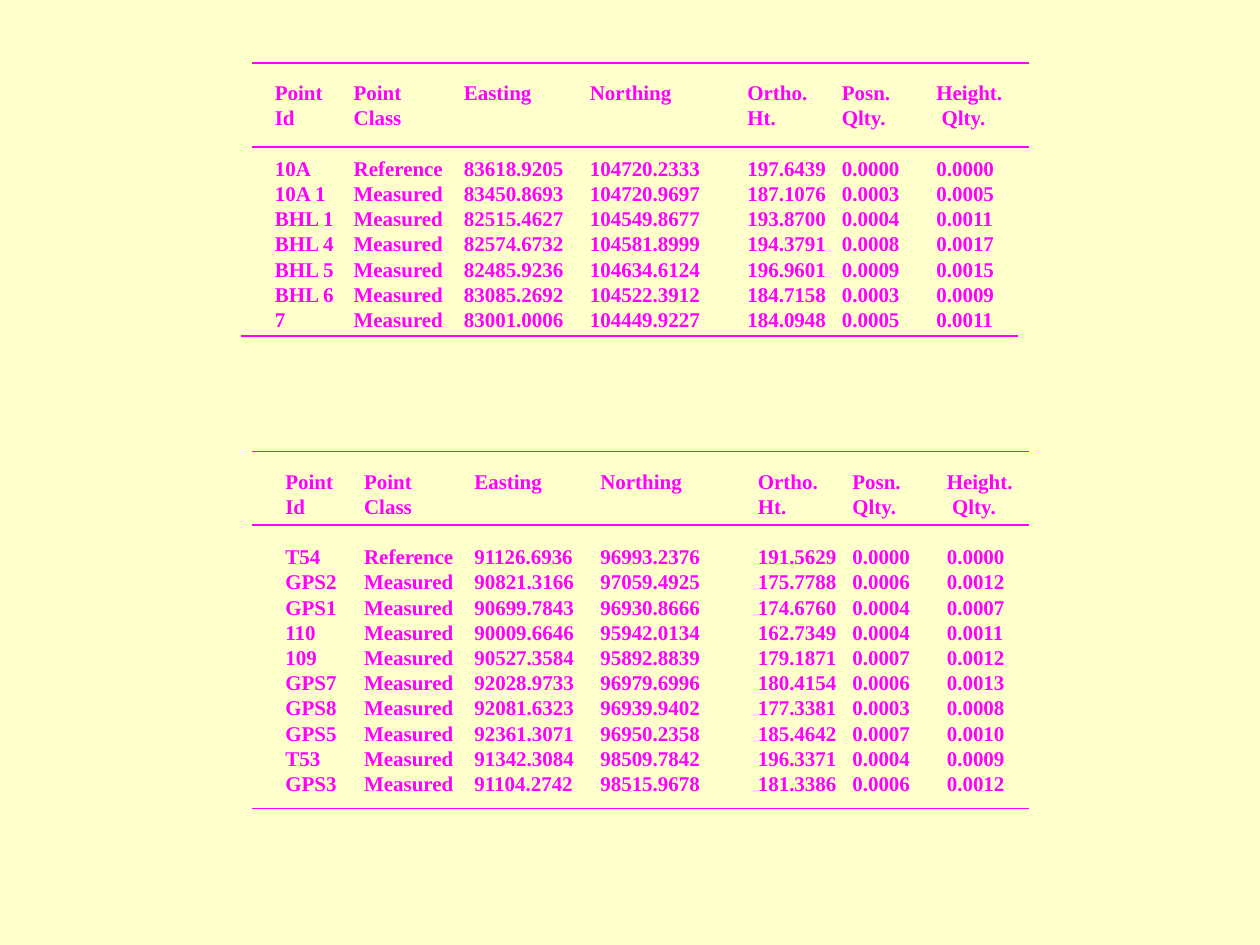
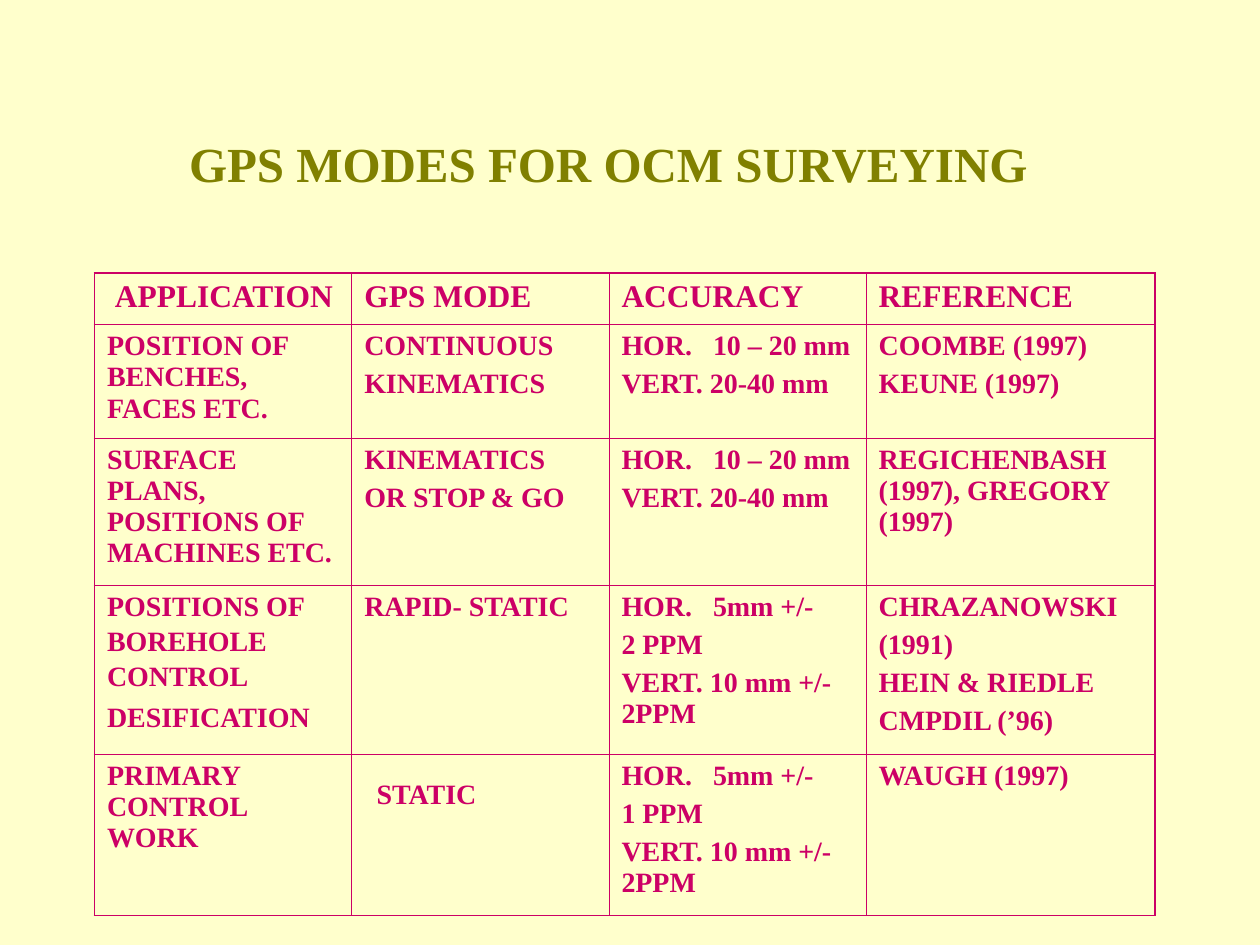
"""Build two slides: GPS survey point listings and GPS modes for OCM surveying."""
from dataclasses import dataclass
from typing import Sequence

from pptx import Presentation
from pptx.dml.color import RGBColor
from pptx.enum.shapes import MSO_CONNECTOR as Connector
from pptx.enum.text import MSO_ANCHOR as Anchor, MSO_AUTO_SIZE as AutoSize, PP_ALIGN as Align
from pptx.oxml.ns import qn
from pptx.oxml.xmlchemy import OxmlElement as new_element
from pptx.util import Pt

COLORS = {"page": "FFFFCC", "listing": "FF00FF", "title": "808000", "modes": "CC0066"}
FONT = "Times New Roman"
LISTING_TABS = (45, 108, 180, 270, 324, 378)
LISTING_LINE = 14.4
ACCURACY_TABS = (52.3,)
COLUMN_WIDTHS = (147, 147, 147, 165)
ROW_HEIGHTS = (29.5, 64.8, 84.2, 96.5, 92.2)
OUTER_BORDER, INNER_BORDER = 1.08, 0.45


@dataclass(frozen=True)
class Rule:
    left: float
    top: float
    width: float = 444


@dataclass(frozen=True)
class Listing:
    left: float
    top: float
    rules: Sequence[Rule]
    points: Sequence[str]


@dataclass(frozen=True)
class ModeCell:
    lines: Sequence[str]
    left: float = 7.2
    top: float = 3.6
    line_height: float | None = None


LISTING_HEADER = (
    ("Point", "Point", "Easting", "Northing", "Ortho.", "Posn.", "Height."),
    ("Id", "Class", "", "", "Ht.", "Qlty.", " Qlty."),
)

LISTINGS = (
    Listing(150, 42, (Rule(144, 36), Rule(144, 84), Rule(138, 192)), (
        "10A|Reference|83618.9205|104720.2333|197.6439|0.0000|0.0000",
        "10A 1|Measured|83450.8693|104720.9697|187.1076|0.0003|0.0005",
        "BHL 1|Measured|82515.4627|104549.8677|193.8700|0.0004|0.0011",
        "BHL 4|Measured|82574.6732|104581.8999|194.3791|0.0008|0.0017",
        "BHL 5|Measured|82485.9236|104634.6124|196.9601|0.0009|0.0015",
        "BHL 6|Measured|83085.2692|104522.3912|184.7158|0.0003|0.0009",
        "7|Measured|83001.0006|104449.9227|184.0948|0.0005|0.0011",
    )),
    Listing(156, 264, (Rule(144, 258), Rule(144, 300), Rule(144, 462)), (
        "T54|Reference|91126.6936|96993.2376|191.5629|0.0000|0.0000",
        "GPS2|Measured|90821.3166|97059.4925|175.7788|0.0006|0.0012",
        "GPS1|Measured|90699.7843|96930.8666|174.6760|0.0004|0.0007",
        "110|Measured|90009.6646|95942.0134|162.7349|0.0004|0.0011",
        "109|Measured|90527.3584|95892.8839|179.1871|0.0007|0.0012",
        "GPS7|Measured|92028.9733|96979.6996|180.4154|0.0006|0.0013",
        "GPS8|Measured|92081.6323|96939.9402|177.3381|0.0003|0.0008",
        "GPS5|Measured|92361.3071|96950.2358|185.4642|0.0007|0.0010",
        "T53|Measured|91342.3084|98509.7842|196.3371|0.0004|0.0009",
        "GPS3|Measured|91104.2742|98515.9678|181.3386|0.0006|0.0012",
    )),
)

KINEMATIC_ACCURACY = ModeCell(("HOR.\t10 – 20 mm", "VERT. 20-40 mm"))


def static_accuracy(horizontal_ppm: str) -> ModeCell:
    return ModeCell(("HOR.\t5mm +/-", horizontal_ppm, "VERT. 10 mm +/- 2PPM"))


MODES = (
    (ModeCell(("APPLICATION",), left=11.7), ModeCell(("GPS MODE",)),
     ModeCell(("ACCURACY",)), ModeCell(("REFERENCE",))),
    (ModeCell(("POSITION OF BENCHES, FACES ETC.",)),
     ModeCell(("CONTINUOUS", "KINEMATICS")),
     KINEMATIC_ACCURACY,
     ModeCell(("COOMBE (1997)", "KEUNE (1997)"))),
    (ModeCell(("SURFACE PLANS, POSITIONS OF MACHINES ETC.",)),
     ModeCell(("KINEMATICS", "OR STOP & GO")),
     KINEMATIC_ACCURACY,
     ModeCell(("REGICHENBASH (1997), GREGORY (1997)",))),
    (ModeCell(("POSITIONS OF BOREHOLE CONTROL", "DESIFICATION"), top=1.4, line_height=19.9),
     ModeCell(("RAPID- STATIC",)),
     static_accuracy("2 PPM"),
     ModeCell(("CHRAZANOWSKI", "(1991)", "HEIN & RIEDLE", "CMPDIL (’96)"))),
    (ModeCell(("PRIMARY CONTROL WORK",)),
     ModeCell(("STATIC",), left=14.2, top=14.3),
     static_accuracy("1 PPM"),
     ModeCell(("WAUGH (1997)",))),
)


def write_line(frame, index: int, text: str, *, size: float, color: str,
               before: float = 0, line_height: float | None = None,
               tabs: Sequence[float] = (), align=Align.LEFT) -> None:
    para = frame.add_paragraph() if index else frame.paragraphs[0]
    para.alignment = align
    para.space_before = Pt(before if index else 0)
    if line_height:
        para.line_spacing = Pt(line_height)
    if tabs:
        tab_list = new_element("a:tabLst")
        for position in tabs:
            tab = new_element("a:tab")
            tab.set("pos", str(Pt(position)))
            tab.set("algn", "l")
            tab_list.append(tab)
        para._p.get_or_add_pPr().append(tab_list)
    span = para.add_run()
    span.text = text
    span.font.name = FONT
    span.font.size = Pt(size)
    span.font.bold = True
    span.font.color.rgb = RGBColor.from_string(COLORS[color])


def draw_rule(shapes, rule: Rule) -> None:
    line = shapes.add_connector(Connector.STRAIGHT, Pt(rule.left), Pt(rule.top),
                                Pt(rule.left + rule.width), Pt(rule.top))
    line.line.color.rgb = RGBColor.from_string(COLORS["listing"])
    line.line.width = Pt(0.75)
    line._element.spPr.append(new_element("a:effectLst"))


def draw_listing(page, listing: Listing) -> None:
    shapes = page.shapes.add_group_shape().shapes
    rows = [*LISTING_HEADER, *(point.split("|") for point in listing.points)]
    height = (len(rows) + 1) * LISTING_LINE + 7.2
    box = shapes.add_textbox(Pt(listing.left), Pt(listing.top), Pt(438), Pt(height))
    frame = box.text_frame
    frame.word_wrap = True
    frame.auto_size = AutoSize.SHAPE_TO_FIT_TEXT
    for index, row in enumerate(rows):
        gap = LISTING_LINE if index == len(LISTING_HEADER) else 0
        write_line(frame, index, "\t".join(row), size=12, color="listing",
                   before=gap, line_height=LISTING_LINE, tabs=LISTING_TABS)
    for rule in listing.rules:
        draw_rule(shapes, rule)


def draw_border(cell, side: str, width: float) -> None:
    border = new_element(f"a:ln{side}")
    border.set("w", str(Pt(width)))
    fill = new_element("a:solidFill")
    color = new_element("a:srgbClr")
    color.set("val", COLORS["modes"])
    fill.append(color)
    border.append(fill)
    cell._tc.get_or_add_tcPr().append(border)


def fill_cell(cell, content: ModeCell, size: float, outer_sides: dict[str, bool],
              tabs: Sequence[float]) -> None:
    for side, is_outer in outer_sides.items():
        draw_border(cell, side, OUTER_BORDER if is_outer else INNER_BORDER)
    cell.fill.background()
    cell.margin_left, cell.margin_right = Pt(content.left), Pt(7.2 if content.left < 10 else 3)
    cell.margin_top, cell.margin_bottom = Pt(content.top), Pt(3.6)
    for index, text in enumerate(content.lines):
        write_line(cell.text_frame, index, text, size=size, color="modes", before=4,
                   line_height=content.line_height, tabs=tabs)


def draw_modes(page) -> None:
    frame = page.shapes.add_table(len(MODES), len(COLUMN_WIDTHS), Pt(54), Pt(156),
                                  Pt(sum(COLUMN_WIDTHS)), Pt(sum(ROW_HEIGHTS)))
    table = frame.table
    table.first_row = table.horz_banding = False
    for column, width in zip(table.columns, COLUMN_WIDTHS):
        column.width = Pt(width)
    for row, height in zip(table.rows, ROW_HEIGHTS):
        row.height = Pt(height)
    last_row, last_column = len(MODES) - 1, len(COLUMN_WIDTHS) - 1
    for r, contents in enumerate(MODES):
        for c, content in enumerate(contents):
            outer_sides = {"L": c == 0, "R": c == last_column, "T": r == 0, "B": r == last_row}
            fill_cell(table.cell(r, c), content, 16 if r else 18, outer_sides,
                      ACCURACY_TABS if c == 2 else ())


def draw_title(page, text: str) -> None:
    title = page.shapes.title
    title.left, title.top, title.width, title.height = Pt(54), Pt(48), Pt(594), Pt(90)
    title.text_frame.vertical_anchor = Anchor.MIDDLE
    title.text_frame.auto_size = AutoSize.NONE
    write_line(title.text_frame, 0, text, size=28, color="title", align=Align.CENTER)


def main() -> None:
    deck = Presentation()
    deck.slide_width, deck.slide_height = Pt(720), Pt(540)
    background = deck.slide_master.background.fill
    background.solid()
    background.fore_color.rgb = RGBColor.from_string(COLORS["page"])

    points_page = deck.slides.add_slide(deck.slide_layouts.get_by_name("Blank"))
    for listing in LISTINGS:
        draw_listing(points_page, listing)

    modes_page = deck.slides.add_slide(deck.slide_layouts.get_by_name("Title Only"))
    draw_title(modes_page, "GPS MODES FOR OCM SURVEYING ")
    draw_modes(modes_page)
    deck.save("out.pptx")


if __name__ == "__main__":
    main()
